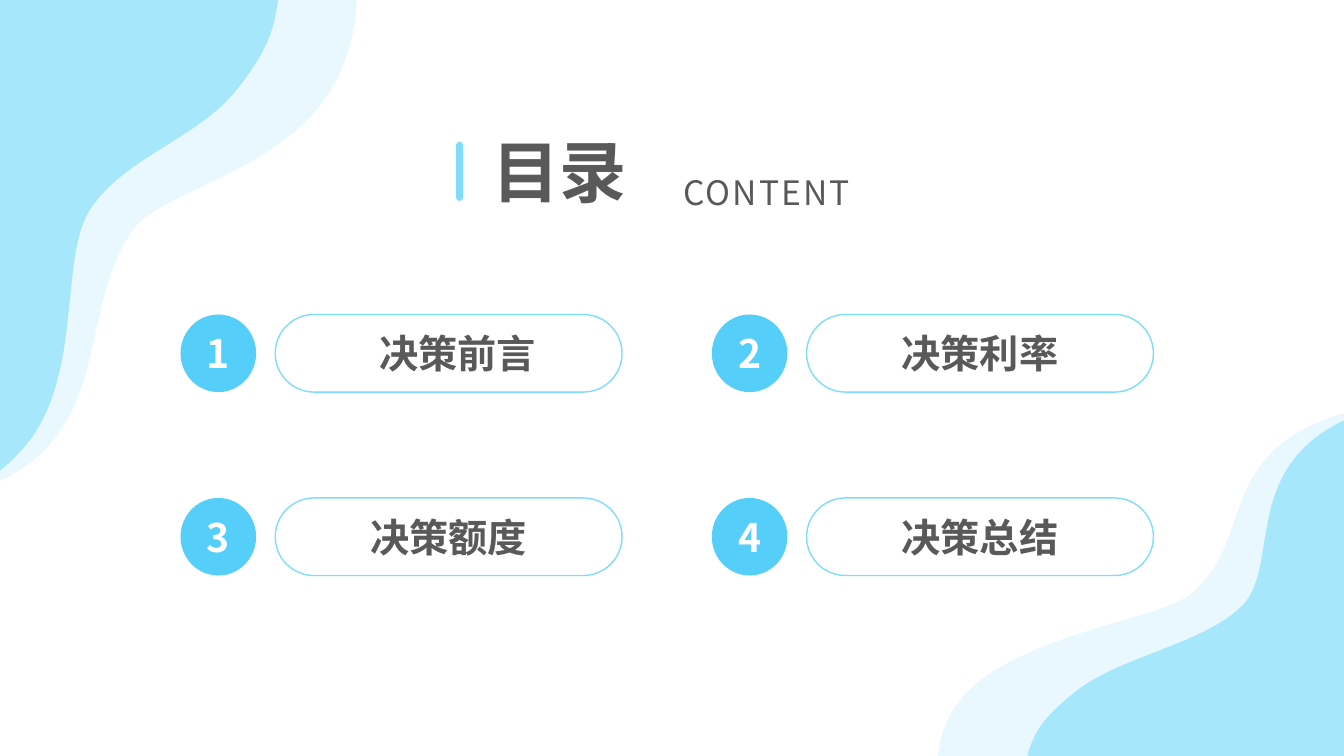
from dataclasses import dataclass

from lxml import etree
from pptx import Presentation
from pptx.dml.color import RGBColor
from pptx.enum.shapes import MSO_CONNECTOR, MSO_SHAPE
from pptx.enum.text import MSO_ANCHOR, MSO_AUTO_SIZE, PP_ALIGN
from pptx.oxml.ns import qn
from pptx.util import Inches, Pt

STRAIGHT = MSO_CONNECTOR.STRAIGHT
OVAL, PILL = MSO_SHAPE.OVAL, MSO_SHAPE.ROUNDED_RECTANGLE
MIDDLE, TOP = MSO_ANCHOR.MIDDLE, MSO_ANCHOR.TOP
JUSTIFY, CENTER = PP_ALIGN.JUSTIFY, PP_ALIGN.CENTER
NO_FIT = MSO_AUTO_SIZE.NONE

WIDTH, HEIGHT = 13.33, 7.5
FONT = "Noto Sans CJK SC"
INK, WHITE = "595959", "FFFFFF"
SKY, OUTLINE = "55CEF9", "7FDDF9"
WAVE, HAZE = "A7E7FB", "8FDFFB"

# Grid of agenda entries, in inches
GRID_LEFT, GRID_TOP = 1.79, 3.12
COLUMN_STEP, ROW_STEP = 5.27, 1.82
BADGE_WIDTH, PILL_WIDTH, ENTRY_HEIGHT = 0.75, 3.44, 0.77
PILL_OFFSET = 0.94


@dataclass
class Wave:
    """Corner outline: a pair is a line, six numbers are a Bézier curve."""
    start: tuple
    segments: list
    color: str
    opacity: int = 100


@dataclass
class Entry:
    number: str
    label: str
    column: int
    row: int
    indent: float = 0


WAVES = [
    # Bottom right
    Wave((WIDTH, 4.1), [(13.26, 4.12), (12.06, 4.52, 12.45, 5.32, 11.83, 5.88),
                        (11.57, 6.11, 10.62, 6.21, 9.9, 6.63),
                        (9.58, 6.82, 9.39, 7.07, 9.33, 7.34),
                        (9.3, HEIGHT), (WIDTH, HEIGHT)], HAZE, 19),
    Wave((WIDTH, 4.17), [(13.14, 4.26, 12.98, 4.38, 12.87, 4.51),
                         (12.43, 5.02, 12.63, 5.71, 12.31, 6.02),
                         (11.93, 6.39, 11.09, 6.52, 10.67, 6.86),
                         (10.34, 7.12, 10.27, 7.26, 10.21, 7.43),
                         (10.19, HEIGHT), (WIDTH, HEIGHT)], WAVE),
    # Top left
    Wave((0, 4.77), [(0.07, 4.74), (1.12, 4.17, 0.77, 3.06, 1.32, 2.28),
                     (1.55, 1.95, 2.38, 1.81, 3.02, 1.22),
                     (3.3, 0.95, 3.46, 0.6, 3.52, 0.22),
                     (3.54, 0), (0, 0)], HAZE, 19),
    Wave((0, 4.67), [(0.17, 4.53, 0.31, 4.38, 0.41, 4.19),
                     (0.79, 3.47, 0.61, 2.51, 0.9, 2.07),
                     (1.24, 1.56, 1.97, 1.37, 2.35, 0.89),
                     (2.63, 0.53, 2.7, 0.34, 2.74, 0.11),
                     (2.76, 0), (0, 0)], WAVE),
]

ENTRIES = [
    Entry("1", "决策前言", 0, 0, indent=0.18),
    Entry("3", "决策额度", 0, 1),
    Entry("2", "决策利率", 1, 0),
    Entry("4", "决策总结", 1, 1),
]


def rgb(value: str) -> RGBColor:
    return RGBColor.from_string(value)


def bend(shape, segments: list) -> None:
    """Merge each curve's three line steps into one Bézier step."""
    steps = iter(list(shape._element.iter(qn("a:lnTo"))))
    for segment in segments:
        first = next(steps)
        if len(segment) == 6:
            first.tag_name = None
            curve = etree.Element(qn("a:cubicBezTo"))
            first.addprevious(curve)
            for step in (first, next(steps), next(steps)):
                curve.append(step[0])
                step.getparent().remove(step)


def draw_wave(slide, wave: Wave) -> None:
    x, y = wave.start
    builder = slide.shapes.build_freeform(Inches(x), Inches(y))
    builder.add_line_segments([(Inches(segment[i]), Inches(segment[i + 1]))
                               for segment in wave.segments
                               for i in range(0, len(segment), 2)])
    shape = builder.convert_to_shape()
    bend(shape, wave.segments)
    shape.shadow.inherit = False
    shape.line.fill.background()
    shape.fill.solid()
    shape.fill.fore_color.rgb = rgb(wave.color)
    if wave.opacity < 100:
        color = shape.fill._xPr.find(qn("a:solidFill"))[0]
        etree.SubElement(color, qn("a:alpha"), val=str(wave.opacity * 1000))


def write(shape, text: str, size: int, color: str, bold: bool = True,
          align=CENTER, anchor=MIDDLE, spacing: float = 0) -> None:
    frame = shape.text_frame
    frame.text = text
    frame.word_wrap = True
    frame.auto_size = NO_FIT
    frame.vertical_anchor = anchor
    paragraph = frame.paragraphs[0]
    paragraph.alignment = align
    font = paragraph.font
    font.name, font.size, font.bold = FONT, Pt(size), bold
    font.color.rgb = rgb(color)
    properties = paragraph._p.pPr.find(qn("a:defRPr"))
    etree.SubElement(properties, qn("a:ea"), typeface=FONT)
    if spacing:
        properties.set("spc", str(int(spacing * 100)))


def draw_heading(slide) -> None:
    title = slide.shapes.title
    title.left, title.top = Inches(4.78), Inches(1.24)
    title.width, title.height = Inches(1.81), Inches(0.91)
    write(title, "目录", 48, INK, align=JUSTIFY)

    subtitle = slide.shapes.add_textbox(Inches(6.68), Inches(1.66), Inches(2.33), Inches(0.5))
    write(subtitle, "CONTENT", 24, INK, bold=False, align=JUSTIFY, anchor=TOP, spacing=1.5)

    bar = slide.shapes.add_connector(STRAIGHT, Inches(4.56), Inches(1.44),
                                     Inches(4.56), Inches(1.96))
    bar.line.color.rgb = rgb(OUTLINE)
    bar.line.width = Pt(5)
    bar.line._get_or_add_ln().set("cap", "rnd")
    etree.SubElement(bar._element.spPr, qn("a:effectLst"))


def draw_entry(slide, entry: Entry) -> None:
    left = GRID_LEFT + entry.column * COLUMN_STEP
    top = Inches(GRID_TOP + entry.row * ROW_STEP)

    pill = slide.shapes.add_shape(PILL, Inches(left + PILL_OFFSET), top,
                                  Inches(PILL_WIDTH), Inches(ENTRY_HEIGHT))
    pill.adjustments[0] = 0.5
    pill.shadow.inherit = False
    pill.fill.background()
    pill.line.color.rgb = rgb(OUTLINE)
    pill.line.width = Pt(1)
    write(pill, entry.label, 28, INK)
    pill.text_frame.margin_left = Inches(0.1 + entry.indent)

    badge = slide.shapes.add_shape(OVAL, Inches(left), top,
                                   Inches(BADGE_WIDTH), Inches(ENTRY_HEIGHT))
    badge.shadow.inherit = False
    badge.fill.solid()
    badge.fill.fore_color.rgb = rgb(SKY)
    badge.line.fill.background()
    write(badge, entry.number, 28, WHITE)


def main() -> None:
    deck = Presentation()
    deck.slide_width, deck.slide_height = Inches(WIDTH), Inches(HEIGHT)
    slide = deck.slides.add_slide(deck.slide_layouts[5])
    for wave in WAVES:
        draw_wave(slide, wave)
    draw_heading(slide)
    for entry in ENTRIES:
        draw_entry(slide, entry)
    deck.save("out.pptx")


if __name__ == "__main__":
    main()
